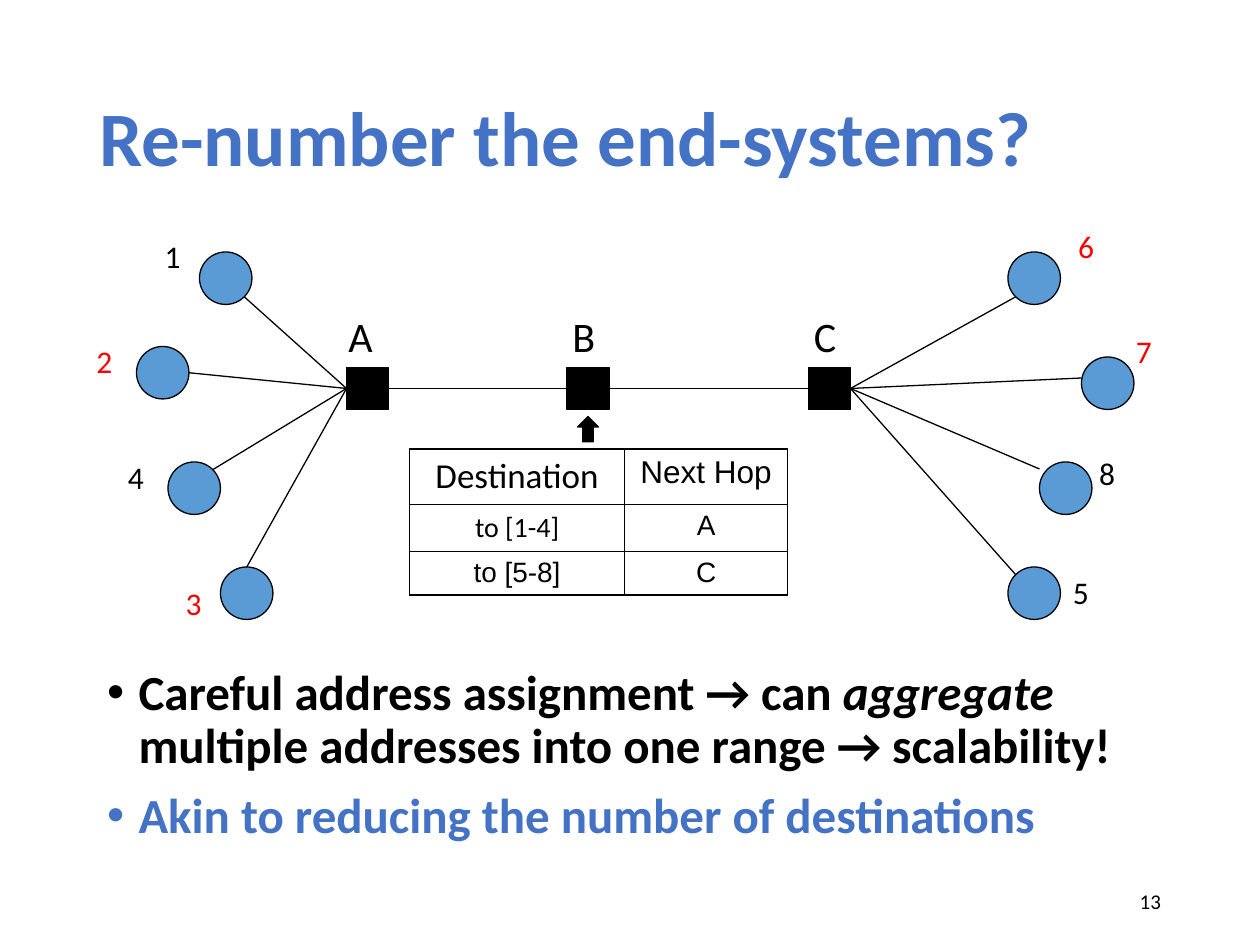
from dataclasses import dataclass

from lxml.etree import SubElement
from pptx import Presentation
from pptx.dml.color import RGBColor
from pptx.enum.shapes import MSO_CONNECTOR as Connector, MSO_SHAPE as Shape
from pptx.enum.text import MSO_ANCHOR as Anchor, MSO_AUTO_SIZE as AutoSize, PP_ALIGN as Align
from pptx.oxml.ns import qn
from pptx.util import Pt


@dataclass(frozen=True)
class Theme:
    font: str = "Calibri"
    table_font: str = "Arial"
    ink: str = "000000"
    accent: str = "4472C4"
    node: str = "5B9BD5"
    changed: str = "FF0000"
    title: int = 44
    body: int = 28
    router: int = 24
    header: int = 20
    label: int = 18
    cell: int = 16
    footer: int = 12
    line: float = 0.75
    border: float = 1


class SlideBuilder:
    """Draws styled elements on the current slide, measured in points."""

    def __init__(self, page, theme):
        self.page = page
        self.theme = theme

    def style(self, para, size, color, name=None, bold=False):
        font = para.font
        font.name = name or self.theme.font
        font.size = Pt(size)
        font.bold = bold
        font.color.rgb = RGBColor.from_string(color)

    def place(self, box, left, top, width, height):
        box.left, box.top = Pt(left), Pt(top)
        box.width, box.height = Pt(width), Pt(height)

    def title(self, text, *area):
        box = self.page.shapes.title
        self.place(box, *area)
        frame = box.text_frame
        frame.text = text
        frame.auto_size = AutoSize.NONE
        frame.vertical_anchor = Anchor.MIDDLE
        para = frame.paragraphs[0]
        para.alignment = Align.LEFT
        para.line_spacing = 0.9
        self.style(para, self.theme.title, self.theme.accent, bold=True)

    def bullets(self, items, *area):
        box = self.page.placeholders[1]
        self.place(box, *area)
        frame = box.text_frame
        frame.auto_size = AutoSize.NONE
        for index, (spans, color) in enumerate(items):
            para = frame.add_paragraph() if index else frame.paragraphs[0]
            para.line_spacing = 0.9
            para.space_before = Pt(10 if index else 0)
            properties = para._p.get_or_add_pPr()
            properties.set("marL", str(Pt(18)))
            properties.set("indent", str(-Pt(18)))
            SubElement(properties, qn("a:buFont"), typeface="Arial")
            SubElement(properties, qn("a:buChar"), char="•")
            self.style(para, self.theme.body, color, bold=True)
            for text, italic in spans:
                span = para.add_run()
                span.text = text
                if italic:
                    span.font.italic = True

    def shape(self, kind, fill, *area):
        shape = self.page.shapes.add_shape(kind, *map(Pt, area))
        shape.shadow.inherit = False
        shape.fill.solid()
        shape.fill.fore_color.rgb = RGBColor.from_string(fill)
        shape.line.color.rgb = RGBColor.from_string(self.theme.ink)
        shape.line.width = Pt(self.theme.line)
        return shape

    def link(self, router, side, end=None, other=None):
        x, y = map(Pt, end or (0, 0))
        line = self.page.shapes.add_connector(Connector.STRAIGHT, x, y, x, y)
        line.begin_connect(router, side)
        if other is not None:
            line.end_connect(other, 1)
        line.line.color.rgb = RGBColor.from_string(self.theme.ink)
        line.line.width = Pt(self.theme.line)
        SubElement(line._element.spPr, qn("a:effectLst"))

    def label(self, text, size, color, *area, align=Align.LEFT, wrap=False):
        box = self.page.shapes.add_textbox(*map(Pt, area))
        frame = box.text_frame
        frame.text = text
        frame.word_wrap = wrap
        frame.auto_size = AutoSize.NONE if wrap else AutoSize.SHAPE_TO_FIT_TEXT
        frame.vertical_anchor = Anchor.MIDDLE if wrap else Anchor.TOP
        para = frame.paragraphs[0]
        para.alignment = align
        self.style(para, size, color)

    def table(self, rows, left, top, widths, heights):
        area = map(Pt, (left, top, sum(widths), sum(heights)))
        table = self.page.shapes.add_table(len(rows), len(widths), *area).table
        table.first_row = table.horz_banding = False
        for column, width in zip(table.columns, widths):
            column.width = Pt(width)
        for row, height, content in zip(table.rows, heights, rows):
            row.height = Pt(height)
            for cell, (text, size, font) in zip(row.cells, content):
                cell.text = text
                para = cell.text_frame.paragraphs[0]
                para.alignment = Align.CENTER
                self.style(para, size, self.theme.ink, font)
                self.borders(cell)
                cell.fill.background()

    def borders(self, cell):
        properties = cell._tc.get_or_add_tcPr()
        for edge in ("a:lnL", "a:lnR", "a:lnT", "a:lnB"):
            line = SubElement(properties, qn(edge), w=str(Pt(self.theme.border)))
            fill = SubElement(line, qn("a:solidFill"))
            SubElement(fill, qn("a:srgbClr"), val=self.theme.ink)


def draw_network(slide, theme):
    """Draw routers, end-systems, their links and their labels."""
    routers = {
        name: slide.shape(Shape.RECTANGLE, theme.ink, left, 210, 24, 24)
        for name, left in (("A", 198), ("B", 324), ("C", 462))
    }
    hosts = [
        ("1", "A", (114, 144), (139.6, 169.6), (87, 132)),
        ("2", "A", (78, 198), (108, 213), (48, 192)),
        ("3", "A", (126, 324), (141, 324), (99, 330)),
        ("4", "A", (96, 264), (121.6, 268.4), (66, 258)),
        ("5", "C", (576, 324), (580.4, 328.4), (606, 324)),
        ("6", "C", (576, 144), (580.4, 169.6), (609, 126)),
        ("7", "C", (618, 204), (618, 216), (642, 186)),
        ("8", "C", (594, 264), (594, 268), (621, 256)),
    ]
    for number, router, corner, end, label in hosts:
        slide.shape(Shape.OVAL, theme.node, *corner, 30, 30)
        slide.link(routers[router], 1 if router == "A" else 3, end)
        color = theme.changed if number in "2367" else theme.ink
        slide.label(number, theme.label, color, *label, 24, 29)
    for near, far in ("AB", "BC"):
        slide.link(routers[near], 3, other=routers[far])
    for name, left in (("A", 192), ("B", 320), ("C", 458)):
        slide.label(name, theme.router, theme.ink, left, 174, 30, 36)


def main():
    theme = Theme()
    deck = Presentation()
    deck.slide_width, deck.slide_height = Pt(720), Pt(540)
    slide = SlideBuilder(deck.slides.add_slide(deck.slide_layouts[1]), theme)
    slide.title("Re-number the end-systems?", 49.5, 28.75, 621, 104.4)
    slide.bullets([
        ([("Careful address assignment → can ", False), ("aggregate", True),
          (" multiple addresses into one range → scalability!", False)], theme.ink),
        ([("Akin to reducing the number of destinations", False)], theme.accent),
    ], 54, 378, 630, 113)
    slide.table([
        [("Destination", theme.header, theme.font), ("Next Hop", theme.label, theme.table_font)],
        [("to [1-4]", theme.cell, theme.font), ("A", theme.cell, theme.table_font)],
        [("to [5-8]", theme.cell, theme.table_font), ("C", theme.cell, theme.table_font)],
    ], 234, 256.5, (123, 93), (31.5, 26.5, 25))
    draw_network(slide, theme)
    slide.label("13", theme.footer, theme.ink, 508.5, 500.5, 162, 28.75, align=Align.RIGHT, wrap=True)
    slide.shape(Shape.UP_ARROW, theme.ink, 330, 238, 12, 14.5)
    deck.save("out.pptx")


if __name__ == "__main__":
    main()
